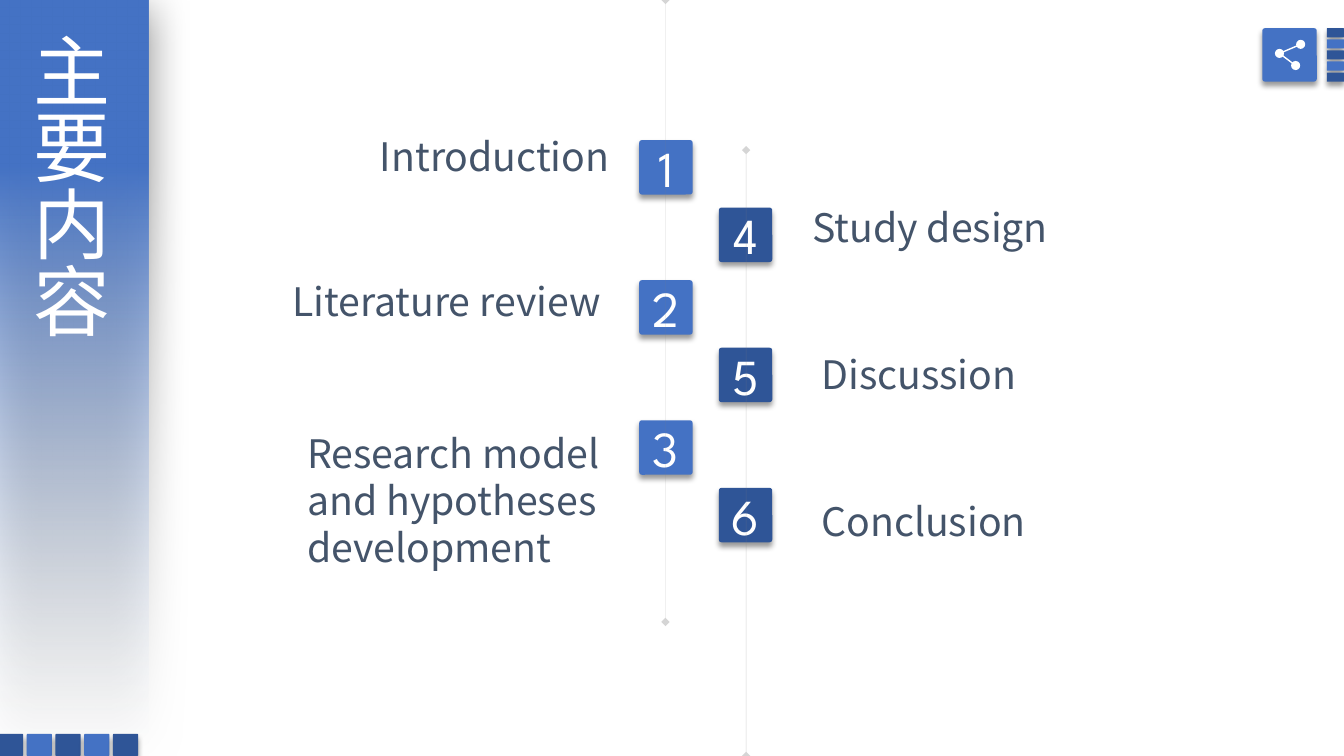
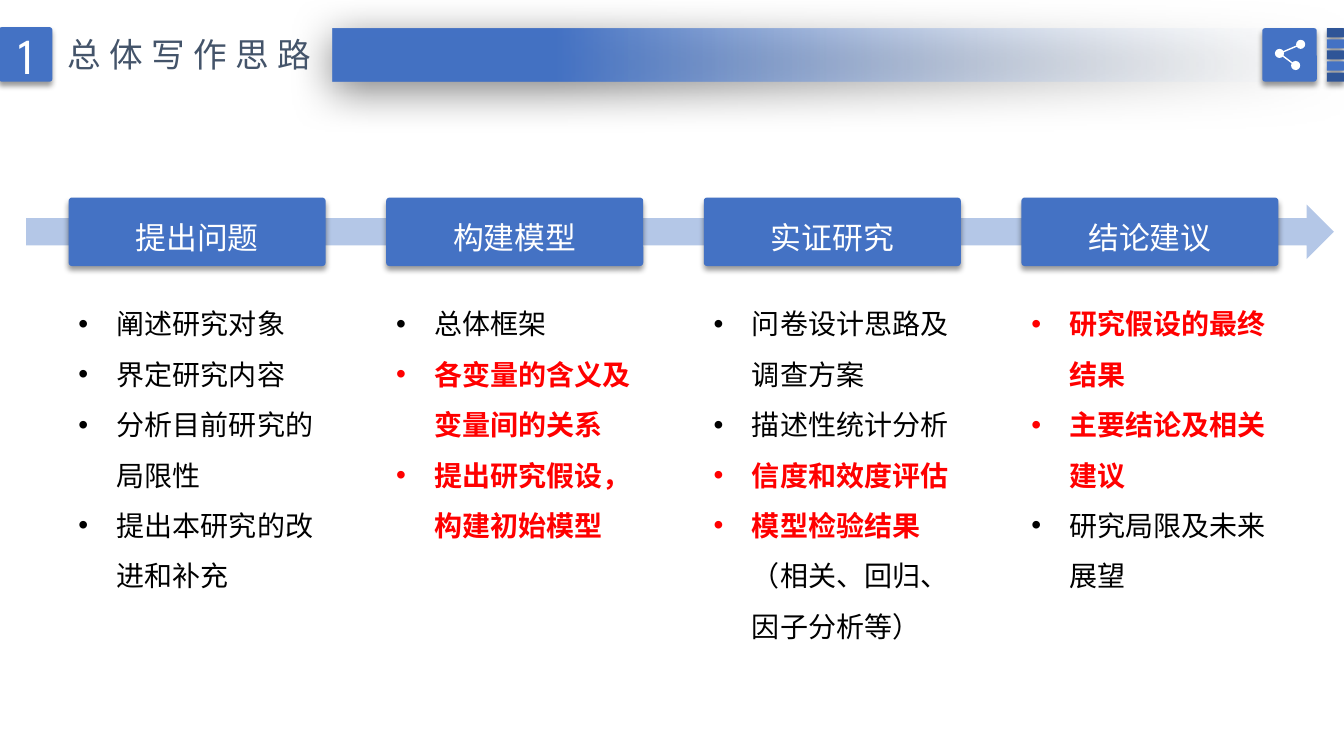
from lxml import etree
from pptx import Presentation
from pptx.dml.color import RGBColor
from pptx.enum import shapes, text
from pptx.oxml.ns import qn
from pptx.util import Inches, Pt

COLORS = {
    "blue": "4472C4", "navy": "2F5597", "light": "B4C7E7", "pale": "F7FAFD",
    "slate": "44546A", "white": "FFFFFF", "black": "000000", "red": "FF0000",
    "gray": "808080",
}
SANS, ROUND, TITLE = "Noto Sans CJK SC", "League Spartan", "Roboto"
SHAPE = shapes.MSO_SHAPE
TILE_SHADOW = (40, 4, 3, 90)   # opacity %, blur pt, distance pt, direction degrees
BAND_SHADOW = (50, 31, 6, 97)


def rgb(name):
    return RGBColor.from_string(COLORS[name])


def box(slide, x, y, w, h, color, kind=SHAPE.ROUNDED_RECTANGLE, shadow=None):
    """Add a borderless filled shape, with an outer shadow if one is given."""
    shape = slide.shapes.add_shape(kind, Inches(x), Inches(y), Inches(w), Inches(h))
    shape.fill.solid()
    shape.fill.fore_color.rgb = rgb(color)
    shape.line.fill.background()
    shape.shadow.inherit = False
    if kind == SHAPE.ROUNDED_RECTANGLE:
        shape.adjustments[0] = 0.05
    if shadow:
        opacity, blur, distance, direction = shadow
        effects = shape._element.spPr.find(qn("a:effectLst"))
        outer = etree.SubElement(
            effects, qn("a:outerShdw"), blurRad=str(Pt(blur)), dist=str(Pt(distance)),
            dir=str(direction * 60000), algn="t", rotWithShape="0")
        shade = etree.SubElement(outer, qn("a:srgbClr"), val=COLORS["black"])
        etree.SubElement(shade, qn("a:alpha"), val=str(opacity * 1000))
    return shape


def write(shape, content, size, font=SANS, color="slate", align="LEFT", anchor="TOP",
          wrap=True, spacing=None, tracking=0, bullets=False):
    """Fill a shape with a string, or with paragraphs of (text, is_key) runs."""
    frame = shape.text_frame
    frame.auto_size = text.MSO_AUTO_SIZE.NONE
    frame.word_wrap = wrap
    frame.vertical_anchor = getattr(text.MSO_ANCHOR, anchor)
    paragraphs = [[(content, False)]] if isinstance(content, str) else content
    for index, runs in enumerate(paragraphs):
        paragraph = frame.add_paragraph() if index else frame.paragraphs[0]
        paragraph.alignment = getattr(text.PP_ALIGN, align)
        if spacing:
            paragraph.line_spacing = spacing
        if bullets:
            props = paragraph._p.get_or_add_pPr()
            props.set("marL", str(Inches(0.38)))
            props.set("indent", str(Inches(-0.38)))
            etree.SubElement(props, qn("a:buFont"), typeface="Arial")
            etree.SubElement(props, qn("a:buChar"), char="•")
        for words, is_key in runs:
            for row, line in enumerate(words.split("\n")):
                if row:
                    paragraph.add_line_break()
                run = paragraph.add_run()
                run.text = line
                run.font.size = Pt(size)
                run.font.name = font
                run.font.bold = is_key
                run.font.color.rgb = rgb("red" if is_key else color)
                props = run._r.get_or_add_rPr()
                etree.SubElement(props, qn("a:ea"), typeface=SANS)
                if tracking:
                    props.set("spc", str(tracking * 100))


prs = Presentation()
prs.slide_width, prs.slide_height = Inches(13.33), Inches(7.5)

# Shared frame: fading band, title and share mark in the top right corner
FRAMES = [
    {"band": (0, 0, 1.47, 7.46), "angle": 90, "title": "主要内容",
     "place": (0.12, 0.27, 1.13, 4.94), "vertical": "eaVert",
     "style": {"size": 55, "font": TITLE, "color": "white"}},
    {"band": (3.3, 0.28, 10.04, 0.53), "angle": 180, "title": "总体写作思路",
     "place": (0.57, 0.29, 2.73, 0.5), "vertical": "horz",
     "style": {"size": 24, "tracking": 6, "wrap": False}},
]
NODES = [(12.9, 0.44), (12.69, 0.53), (12.85, 0.65)]
slides = []
for frame in FRAMES:
    slide = prs.slides.add_slide(prs.slide_layouts[5])
    slides.append(slide)

    band = box(slide, *frame["band"], "blue", SHAPE.RECTANGLE, BAND_SHADOW)
    band.fill.gradient()
    band.fill.gradient_angle = frame["angle"]
    faded, full = band.fill.gradient_stops
    faded.color.rgb, faded.position = rgb("pale"), 0
    full.color.rgb, full.position = rgb("blue"), 0.78
    faded_color = band._element.spPr.find(".//" + qn("a:srgbClr"))
    etree.SubElement(faded_color, qn("a:alpha"), val="0")

    title = slide.shapes.title
    title.left, title.top, title.width, title.height = map(Inches, frame["place"])
    write(title, frame["title"], **frame["style"])
    title.text_frame._txBody.bodyPr.set("vert", frame["vertical"])
    slide.shapes._spTree.append(title._element)  # bring in front of the band

    for i in range(5):
        box(slide, 13.16, 0.28 + 0.11 * i, 0.17, 0.09, ("navy", "blue")[i % 2],
            shadow=TILE_SHADOW)
    box(slide, 12.52, 0.28, 0.54, 0.53, "blue", shadow=TILE_SHADOW)
    points = [(Inches(x), Inches(y)) for x, y in NODES]
    builder = slide.shapes.build_freeform(*points[0])
    builder.add_line_segments(points[1:], close=False)
    links = builder.convert_to_shape()
    links.fill.background()
    links.line.color.rgb = rgb("white")
    links.line.width = Pt(1)
    links.shadow.inherit = False
    for x, y in NODES:
        box(slide, x - 0.045, y - 0.045, 0.09, 0.09, "white", SHAPE.OVAL)

agenda, approach = slides
DIGIT = {"size": 36, "font": ROUND, "color": "white", "align": "CENTER",
         "anchor": "MIDDLE"}

# Slide 1: agenda in two staggered columns
for i in range(5):
    box(agenda, -0.02 + 0.285 * i, 7.28, 0.25, 0.22, ("navy", "blue")[i % 2],
        shadow=TILE_SHADOW)

SECTIONS = [
    ("Introduction", 3.67, 1.26, 2.53, 0.57),
    ("Literature review", 2.8, 2.7, 3.33, 0.57),
    ("Research model\nand hypotheses\ndevelopment", 2.95, 4.21, 3.3, 1.51),
    ("Study design", 7.96, 1.97, 2.63, 0.57),
    ("Discussion", 8.05, 3.43, 2.2, 0.57),
    ("Conclusion", 8.05, 4.88, 2.3, 0.57),
]
for i, (section, *place) in enumerate(SECTIONS):
    column, row = divmod(i, 3)
    tile = box(agenda, (6.34, 7.13)[column], (1.39, 2.06)[column] + 1.39 * row,
               0.53, 0.54, ("blue", "navy")[column], shadow=TILE_SHADOW)
    write(tile, str(i + 1), **DIGIT)
    label = agenda.shapes.add_textbox(*map(Inches, place))
    write(label, section, 28, wrap=False)

for x, top, bottom in [(7.4, 1.49, 7.5), (6.6, 0, 6.17)]:
    timeline = agenda.shapes.add_connector(
        shapes.MSO_CONNECTOR.STRAIGHT, Inches(x), Inches(top), Inches(x), Inches(bottom))
    timeline.line.color.rgb = rgb("gray")
    timeline.line.width = Pt(0.25)
    stroke = timeline.line._get_or_add_ln()
    etree.SubElement(stroke.find(".//" + qn("a:srgbClr")), qn("a:alpha"), val="33000")
    for end in ("a:headEnd", "a:tailEnd"):
        etree.SubElement(stroke, qn(end), type="diamond")
    etree.SubElement(timeline._element.spPr, qn("a:effectLst"))

# Slide 2: four stages along an arrow
write(box(approach, -0.01, 0.27, 0.53, 0.54, "blue", shadow=TILE_SHADOW), "1", **DIGIT)
box(approach, 0.26, 2.03, 12.97, 0.54, "light", SHAPE.RIGHT_ARROW)

STAGES = [
    ("提出问题", 3.07, [
        [("阐述研究对象", False)],
        [("界定研究内容", False)],
        [("分析目前研究的局限性", False)],
        [("提出本研究的改进和补充", False)]]),
    ("构建模型", 2.56, [
        [("总体框架", False)],
        [("各变量的含义及变量间的关系", True)],
        [("提出研究假设，构建初始模型", True)]]),
    ("实证研究", 3.57, [
        [("问卷设计思路及调查方案", False)],
        [("描述性统计分析", False)],
        [("信度和效度评估", True)],
        [("模型检验结果", True), ("（相关、回归、因子分析等）", False)]]),
    ("结论建议", 3.07, [
        [("研究假设的最终结果", True)],
        [("主要结论及相关建议", True)],
        [("研究局限及未来展望", False)]]),
]
for i, (stage, height, points) in enumerate(STAGES):
    x = 0.68 + 3.15 * i
    heading = box(approach, x, 1.96, 2.55, 0.68, "blue", shadow=TILE_SHADOW)
    write(heading, stage, 22, color="white", align="CENTER", anchor="MIDDLE", spacing=1.3)
    details = approach.shapes.add_textbox(
        Inches(x), Inches(2.83), Inches(2.68), Inches(height))
    write(details, points, 20, font=ROUND, color="black", spacing=1.5, bullets=True)

prs.save("out.pptx")
